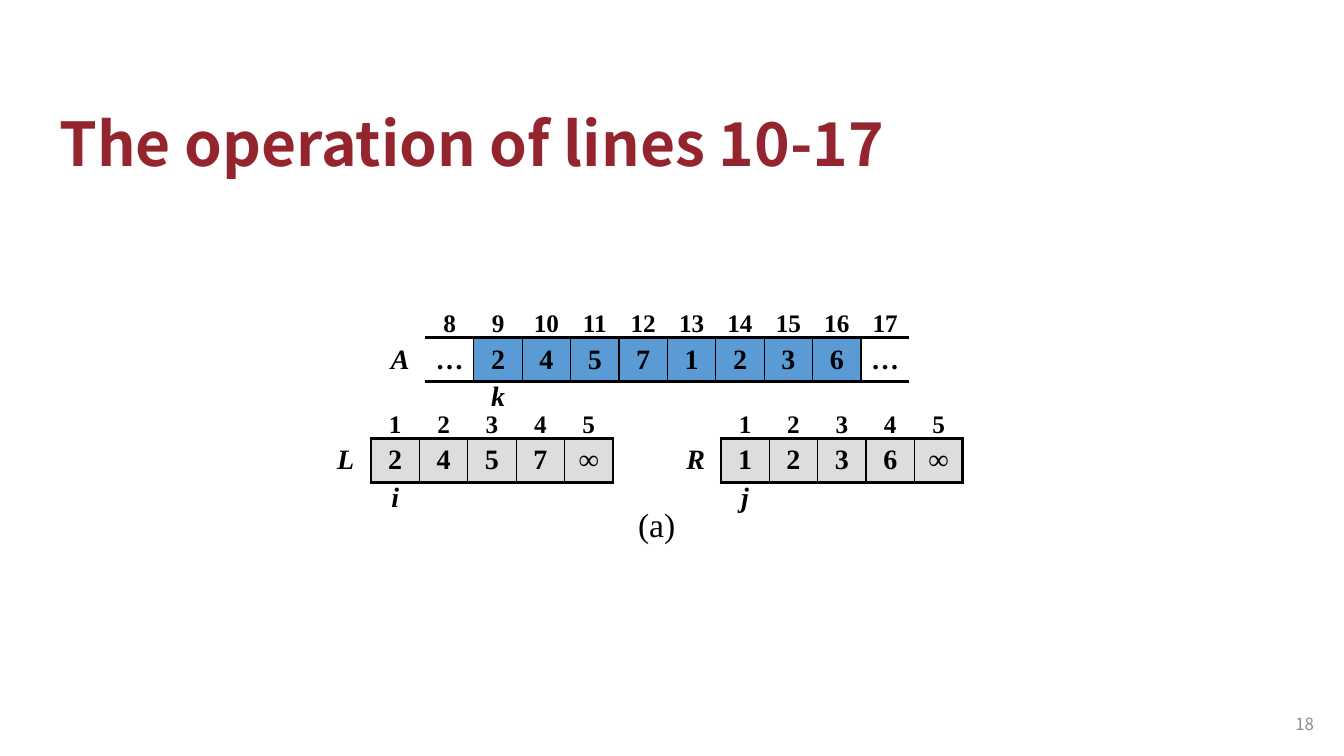
import pptx
import pptx.util
import pptx.dml.color
import pptx.enum.text
import pptx.oxml.ns
import lxml.etree

RGB = pptx.dml.color.RGBColor
ANCHOR = pptx.enum.text.MSO_ANCHOR
ALIGN = pptx.enum.text.PP_ALIGN
qn = pptx.oxml.ns.qn

BLACK = RGB(0x00, 0x00, 0x00)
CRIMSON = RGB(0x94, 0x25, 0x2E)
GRAY = RGB(0x8C, 0x8C, 0x8C)
CELL_BLUE = RGB(0x5B, 0x9B, 0xD5)
CELL_GRAY = RGB(0xDD, 0xDD, 0xDD)

SANS = "Noto Sans CJK SC"
SERIF = "Times New Roman"
NO_STYLE_NO_GRID = "{2D5ABB26-0587-4C30-8999-92F81FD0307C}"

EMU_PER_PX = 9144  # 100 px to the inch
LABEL_W, CELL_W = 50, 48
ROW_HEIGHTS = (39, 43, 39)
THICK, THIN = 2.25, 1


def px(n):
    return pptx.util.Emu(n * EMU_PER_PX)


def format_run(p, size, font, color, bold=False, italic=False):
    for r in p.runs:
        r.font.size = pptx.util.Pt(size)
        r.font.name = font
        r.font.color.rgb = color
        r.font.bold = bold
        r.font.italic = italic


def add_text(slide, box, text, size, font, color, bold=False,
             align=ALIGN.LEFT, anchor=ANCHOR.TOP, wrap=True):
    tf = slide.shapes.add_textbox(*map(px, box)).text_frame
    tf.word_wrap = wrap
    tf.vertical_anchor = anchor
    tf.text = text
    p = tf.paragraphs[0]
    p.alignment = align
    format_run(p, size, font, color, bold)
    return p


def set_borders(cell, left=None, right=None, top=None, bottom=None):
    """Draw black borders of the given widths in points."""
    tcPr = cell._tc.get_or_add_tcPr()
    for side, width in zip("LRTB", (left, right, top, bottom)):
        if width:
            ln = lxml.etree.SubElement(tcPr, qn(f"a:ln{side}"),
                                       w=str(pptx.util.Pt(width)))
            fill = lxml.etree.SubElement(ln, qn("a:solidFill"))
            lxml.etree.SubElement(fill, qn("a:srgbClr"), val=str(BLACK))


def set_cell(cell, text, size, anchor, pad_top, pad_bottom, italic=False):
    cell.margin_left = cell.margin_right = px(10)
    cell.margin_top, cell.margin_bottom = px(pad_top), px(pad_bottom)
    cell.vertical_anchor = anchor
    cell.text = text
    p = cell.text_frame.paragraphs[0]
    p.alignment = ALIGN.CENTER
    format_run(p, size, SERIF, BLACK, True, italic)


def add_array(slide, left, top, name, first_index, values, pointer,
              pointer_col, color, closed):
    """Table of three rows: indices, named values, and a pointer below."""
    n = len(values)
    frame = slide.shapes.add_table(3, n + 1, px(left), px(top),
                                   px(LABEL_W + n * CELL_W),
                                   px(sum(ROW_HEIGHTS)))
    table = frame.table
    table.first_row = table.horz_banding = False
    table._tbl.tblPr.find(qn("a:tableStyleId")).text = NO_STYLE_NO_GRID
    for row, height in zip(table.rows, ROW_HEIGHTS):
        row.height = px(height)
    for c, col in enumerate(table.columns):
        col.width = px(CELL_W if c else LABEL_W)

    end = THICK if closed else None
    edges = [None, end] + [THIN] * (n - 1) + [end]
    for c in range(n + 1):
        index, value, below = (table.cell(r, c) for r in range(3))
        line = THICK if c else None
        set_borders(index, bottom=line)
        set_borders(value, edges[c], edges[c + 1], line, line)
        set_borders(below, top=line)

        set_cell(index, str(first_index + c - 1) if c else "", 18,
                 ANCHOR.BOTTOM, 5 if c else 0, 0)
        set_cell(value, values[c - 1] if c else name, 20,
                 ANCHOR.MIDDLE, 5, 5, italic=c == 0)
        is_pointer = c == pointer_col
        set_cell(below, pointer if is_pointer else "", 20,
                 ANCHOR.TOP, 0, 5 if is_pointer else 0, italic=True)

        for cell in (index, value, below):
            cell.fill.background()
        if c and values[c - 1] != "…":
            value.fill.solid()
            value.fill.fore_color.rgb = color


def add_merge_figure(slide, left, top):
    """Array A above its sorted halves L and R, with a caption."""
    add_array(slide, left + 54, top, "A", 8, list("…24571236…"), "k", 2,
              CELL_BLUE, closed=False)
    halves = ((0, "L", "2457∞", "i"), (347, "R", "1236∞", "j"))
    for dx, name, values, pointer in halves:
        add_array(slide, left + dx, top + 100, name, 1, list(values),
                  pointer, 1, CELL_GRAY, closed=True)
    add_text(slide, (left + 305, top + 199, 57, 50), "(a)", 24, SERIF, BLACK,
             wrap=False)


def build_slide(prs):
    slide = prs.slides.add_slide(prs.slide_layouts[6])
    title = add_text(slide, (49, 88, 843, 95), "The operation of lines 10-17",
                     43.2, SANS, CRIMSON, bold=True, anchor=ANCHOR.BOTTOM)
    title.line_spacing = 0.9
    add_merge_figure(slide, 318, 296)
    add_text(slide, (1253, 698, 60, 40), "18", 12, SANS, GRAY,
             align=ALIGN.RIGHT, anchor=ANCHOR.MIDDLE)


def main():
    prs = pptx.Presentation()
    prs.slide_width, prs.slide_height = px(1333), px(750)
    build_slide(prs)
    prs.save("out.pptx")


if __name__ == "__main__":
    main()
